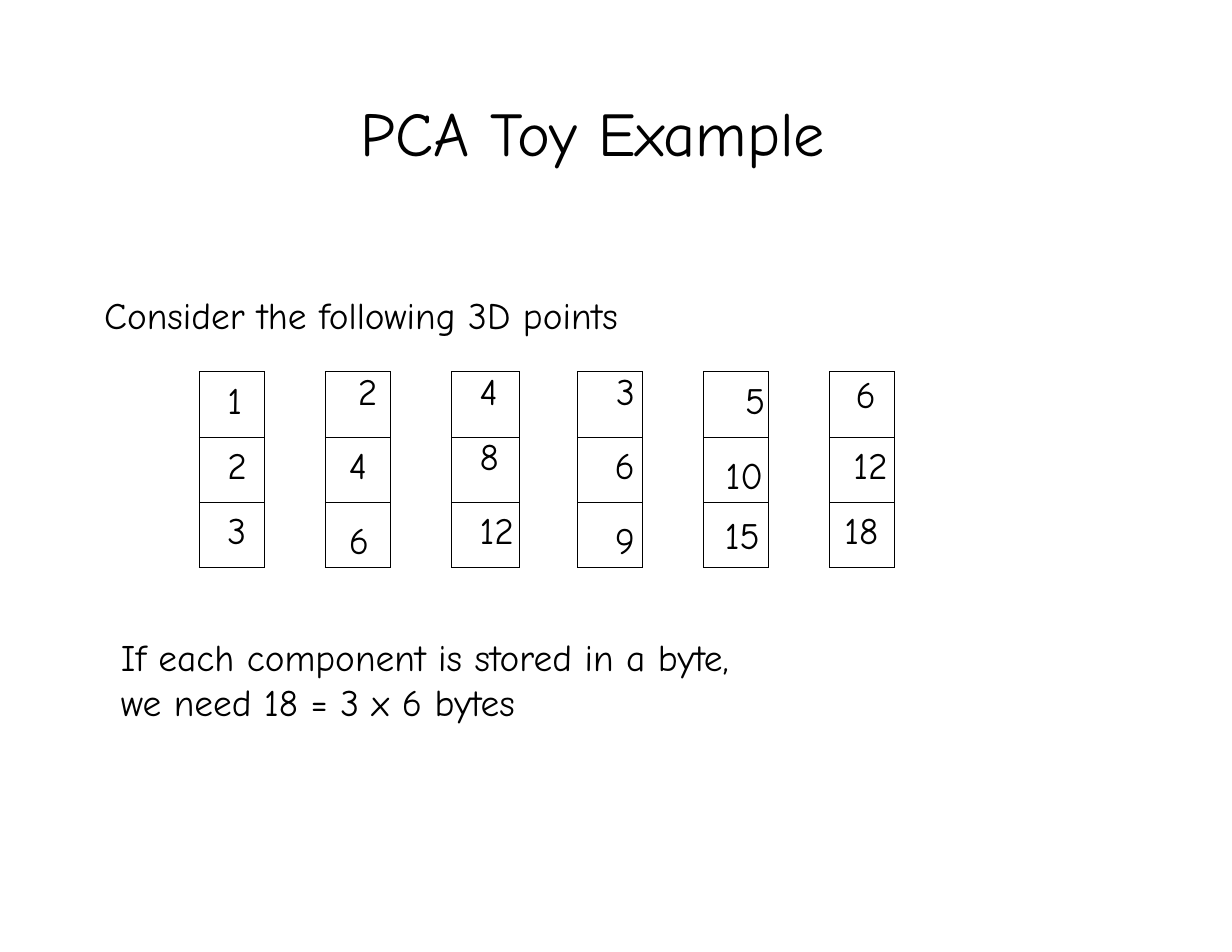
import pptx
import pptx.util
import pptx.dml.color
import pptx.enum.text
import pptx.oxml
import lxml.etree
from pptx.util import Inches

FONT = "Comic Neue"
INK = "000000"
ALIGN = pptx.enum.text.PP_ALIGN


def color(hex_string):
    return pptx.dml.color.RGBColor.from_string(hex_string)


def write(frame, lines, size, align, margins):
    """Fill a text frame or cell paragraph with lines split by line breaks."""
    para = frame.paragraphs[0]
    para.alignment = align
    for number, line in enumerate(lines):
        if number:
            para.add_line_break()
        span = para.add_run()
        span.text = line
        span.font.name = FONT
        span.font.size = pptx.util.Pt(size)
        span.font.color.rgb = color(INK)
    frame.margin_left, frame.margin_top, frame.margin_right, frame.margin_bottom = map(Inches, margins)


deck = pptx.Presentation()
deck.slide_width = Inches(11)
deck.slide_height = Inches(8.5)
page = deck.slides.add_slide(deck.slide_layouts[6])
page.background.fill.solid()
page.background.fill.fore_color.rgb = color("FFFFFF")

# Title and sentences: left, top, width, height, size, lines
texts = [
    (3.21, 0.83, 4.51, 0.7, 40, ["PCA Toy Example"]),
    (0.92, 2.6, 5.06, 0.43, 24, ["Consider the following 3D points"]),
    (1.07, 5.65, 5.97, 0.83, 24,
     ["If each component is stored in a byte,", "we need 18 = 3 x 6 bytes"]),
]
for left, top, width, height, size, lines in texts:
    box = page.shapes.add_textbox(Inches(left), Inches(top), Inches(width), Inches(height))
    box.text_frame.word_wrap = True
    write(box.text_frame, lines, size, ALIGN.LEFT, (0.01, 0.01, 0, 0))

# Points: one column table each; cells hold value, side margin, top margin
points = [
    (ALIGN.LEFT, 0.58, [("1", 0.25, 0.08), ("2", 0.25, 0.08), ("3", 0.25, 0.08)]),
    (ALIGN.LEFT, 0.58, [("2", 0.29, 0), ("4", 0.21, 0.08), ("6", 0.21, 0.17)]),
    (ALIGN.LEFT, 0.61, [("4", 0.25, 0), ("8", 0.25, 0), ("12", 0.25, 0.08)]),
    (ALIGN.RIGHT, 0.58, [("3", 0.07, 0), ("6", 0.07, 0.08), ("9", 0.07, 0.17)]),
    (ALIGN.RIGHT, 0.58, [("5", 0.03, 0.08), ("10", 0.05, 0.17), ("15", 0.08, 0.12)]),
    (ALIGN.LEFT, 0.58, [("6", 0.23, 0.03), ("12", 0.21, 0.08), ("18", 0.13, 0.08)]),
]
FIRST_LEFT, PITCH, ROW_TOP, ROW_HEIGHT = 1.78, 1.126, 3.32, 0.583
for index, (align, width, entries) in enumerate(points):
    table = page.shapes.add_table(
        len(entries), 1, Inches(FIRST_LEFT + index * PITCH), Inches(ROW_TOP),
        Inches(width), Inches(ROW_HEIGHT * len(entries))).table
    table.first_row = False
    table.horz_banding = False
    for row, (value, side, top) in enumerate(entries):
        cell = table.cell(row, 0)
        margins = (side, top, 0, 0) if align == ALIGN.LEFT else (0, top, side, 0)
        write(cell.text_frame, [value], 24, align, (0, 0, 0, 0))
        cell.margin_left, cell.margin_top, cell.margin_right, cell.margin_bottom = map(Inches, margins)
        # Borders come before the fill in the cell properties
        properties = cell._tc.get_or_add_tcPr()
        for edge in ("lnL", "lnR", "lnT", "lnB"):
            line = lxml.etree.SubElement(properties, pptx.oxml.ns.qn("a:" + edge), w="9525")
            solid = lxml.etree.SubElement(line, pptx.oxml.ns.qn("a:solidFill"))
            lxml.etree.SubElement(solid, pptx.oxml.ns.qn("a:srgbClr"), val=INK)
        cell.fill.background()

deck.save("out.pptx")
